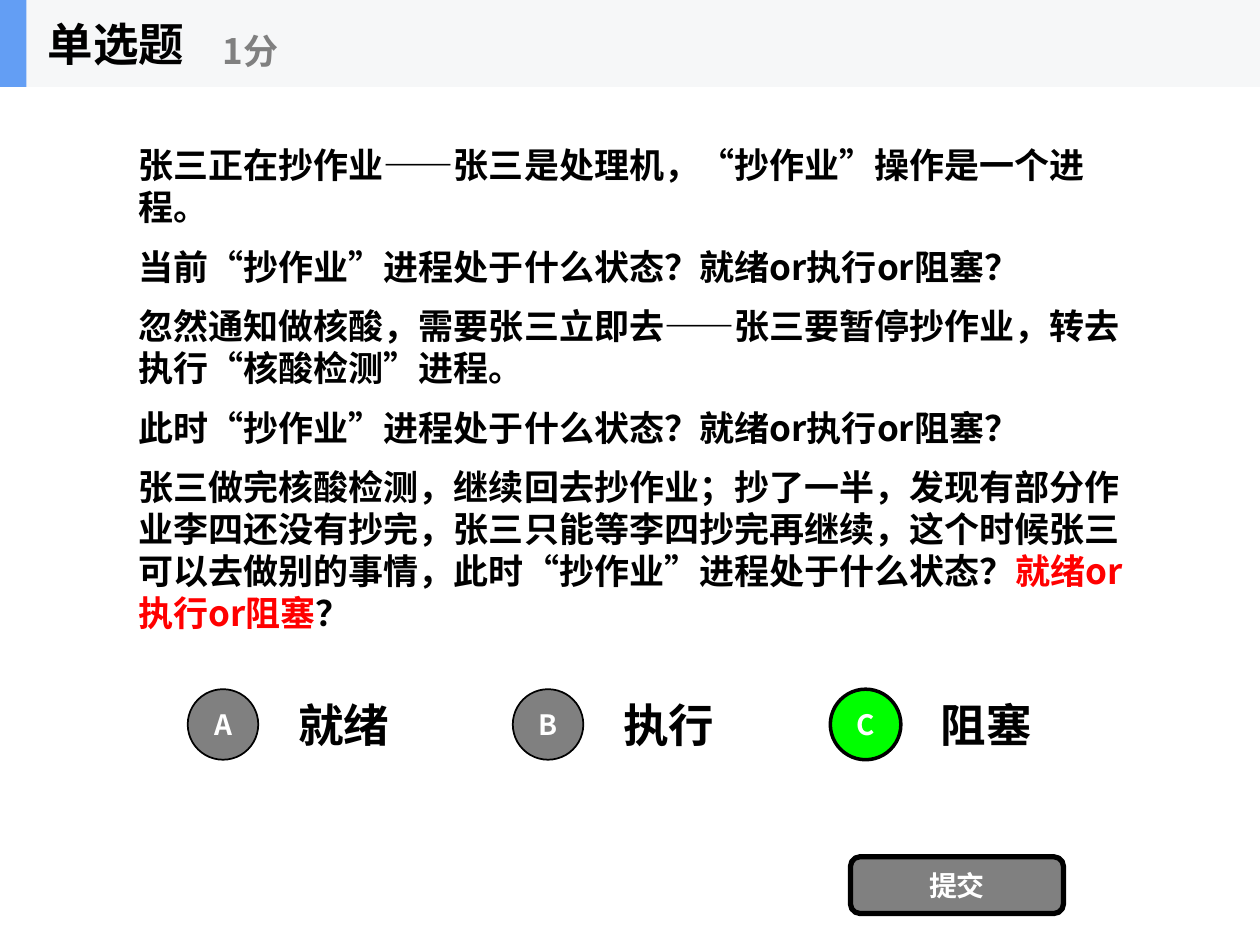
import pptx
import pptx.dml.color
import pptx.enum.shapes
import pptx.enum.text
import pptx.oxml.ns
import pptx.util
from lxml import etree

Inches = pptx.util.Inches
Pt = pptx.util.Pt
RGBColor = pptx.dml.color.RGBColor
Shapes = pptx.enum.shapes.MSO_SHAPE
Align = pptx.enum.text.PP_ALIGN
Anchor = pptx.enum.text.MSO_ANCHOR

FONT = "Noto Sans CJK SC"
BLACK = RGBColor(0x00, 0x00, 0x00)
WHITE = RGBColor(0xFF, 0xFF, 0xFF)
GRAY = RGBColor(0x80, 0x80, 0x80)
RED = RGBColor(0xFF, 0x00, 0x00)
GREEN = RGBColor(0x00, 0xFF, 0x00)
BLUE = RGBColor(0x63, 0x9E, 0xF4)
PALE = RGBColor(0xF6, 0xF7, 0xF8)

TITLE = "单选题"
SCORE = "1分"
SUBMIT = "提交"
QUESTION = [
    [("张三正在抄作业——张三是处理机，“抄作业”操作是一个进程。", BLACK)],
    [("当前“抄作业”进程处于什么状态？就绪or执行or阻塞？", BLACK)],
    [("忽然通知做核酸，需要张三立即去——张三要暂停抄作业，转去执行“核酸检测”进程。", BLACK)],
    [("此时“抄作业”进程处于什么状态？就绪or执行or阻塞？", BLACK)],
    [
        ("张三做完核酸检测，继续回去抄作业；抄了一半，发现有部分作业李四还没有抄完，"
         "张三只能等李四抄完再继续，这个时候张三可以去做别的事情，"
         "此时“抄作业”进程处于什么状态？", BLACK),
        ("就绪or执行or阻塞", RED),
        ("？", BLACK),
    ],
]
OPTIONS = [
    ("A", "就绪", 1.49, GRAY, 1),
    ("B", "执行", 4.07, GRAY, 1),
    ("C", "阻塞", 6.59, GREEN, 2),
]
LABEL_OFFSET = 0.78
HEADER_HEIGHT = 0.69


def place(shape, left, top, width, height):
    shape.left, shape.top = Inches(left), Inches(top)
    shape.width, shape.height = Inches(width), Inches(height)


def add_run(paragraph, text, size, color):
    run = paragraph.add_run()
    run.text = text
    run.font.size = Pt(size)
    run.font.bold = True
    run.font.color.rgb = color
    run.font.name = FONT
    east_asian = etree.SubElement(run.font._element, pptx.oxml.ns.qn("a:ea"))
    east_asian.set("typeface", FONT)


def write_line(shape, text, size, color, align=Align.LEFT, wrap=True):
    frame = shape.text_frame
    frame.word_wrap = wrap
    frame.vertical_anchor = Anchor.MIDDLE
    paragraph = frame.paragraphs[0]
    paragraph.alignment = align
    add_run(paragraph, text, size, color)


def add_text_box(slide, left, top, width, height):
    return slide.shapes.add_textbox(
        Inches(left), Inches(top), Inches(width), Inches(height))


def add_filled(slide, kind, left, top, width, height, fill, line_width=0):
    shape = slide.shapes.add_shape(
        kind, Inches(left), Inches(top), Inches(width), Inches(height))
    shape.shadow.inherit = False
    shape.fill.solid()
    shape.fill.fore_color.rgb = fill
    if line_width:
        shape.line.color.rgb = BLACK
        shape.line.width = Pt(line_width)
    else:
        shape.line.fill.background()
    return shape


def add_header(slide):
    title = slide.shapes.title
    for width, color in ((10, PALE), (0.21, BLUE)):
        bar = add_filled(slide, Shapes.RECTANGLE, 0, 0, width, HEADER_HEIGHT, color)
        title.element.addprevious(bar.element)
    place(title, 0.28, 0, 2.08, HEADER_HEIGHT)
    write_line(title, TITLE, 26, BLACK, wrap=False)
    score = add_text_box(slide, 1.67, 0.12, 2.5, 0.56)
    write_line(score, SCORE, 20, GRAY)


def add_question(slide):
    frame = add_text_box(slide, 1, 1.09, 8.08, 3.96).text_frame
    frame.word_wrap = True
    for index, runs in enumerate(QUESTION):
        paragraph = frame.add_paragraph() if index else frame.paragraphs[0]
        paragraph.line_spacing = Pt(24)
        if index:
            paragraph.space_before = Pt(10)
        paragraph._element.get_or_add_pPr().set("hangingPunct", "0")
        for text, color in runs:
            add_run(paragraph, text, 20, color)


def add_options(slide):
    for letter, label, left, fill, line_width in OPTIONS:
        circle = add_filled(
            slide, Shapes.OVAL, left, 5.47, 0.56, 0.56, fill, line_width)
        frame = circle.text_frame
        frame.margin_left = frame.margin_right = 0
        frame.margin_top = frame.margin_bottom = 0
        write_line(circle, letter, 16, WHITE, Align.CENTER)
        box = add_text_box(slide, left + LABEL_OFFSET, 5.4, 1.26, 0.7)
        write_line(box, label, 26, BLACK)


def main():
    presentation = pptx.Presentation()
    presentation.slide_width = Inches(10)
    presentation.slide_height = Inches(7.5)
    slide = presentation.slides.add_slide(presentation.slide_layouts[5])
    add_header(slide)
    add_question(slide)
    add_options(slide)
    button = add_filled(
        slide, Shapes.ROUNDED_RECTANGLE, 6.75, 6.8, 1.69, 0.45, GRAY, 3)
    write_line(button, SUBMIT, 16, WHITE, Align.CENTER)
    presentation.save("out.pptx")


if __name__ == "__main__":
    main()
